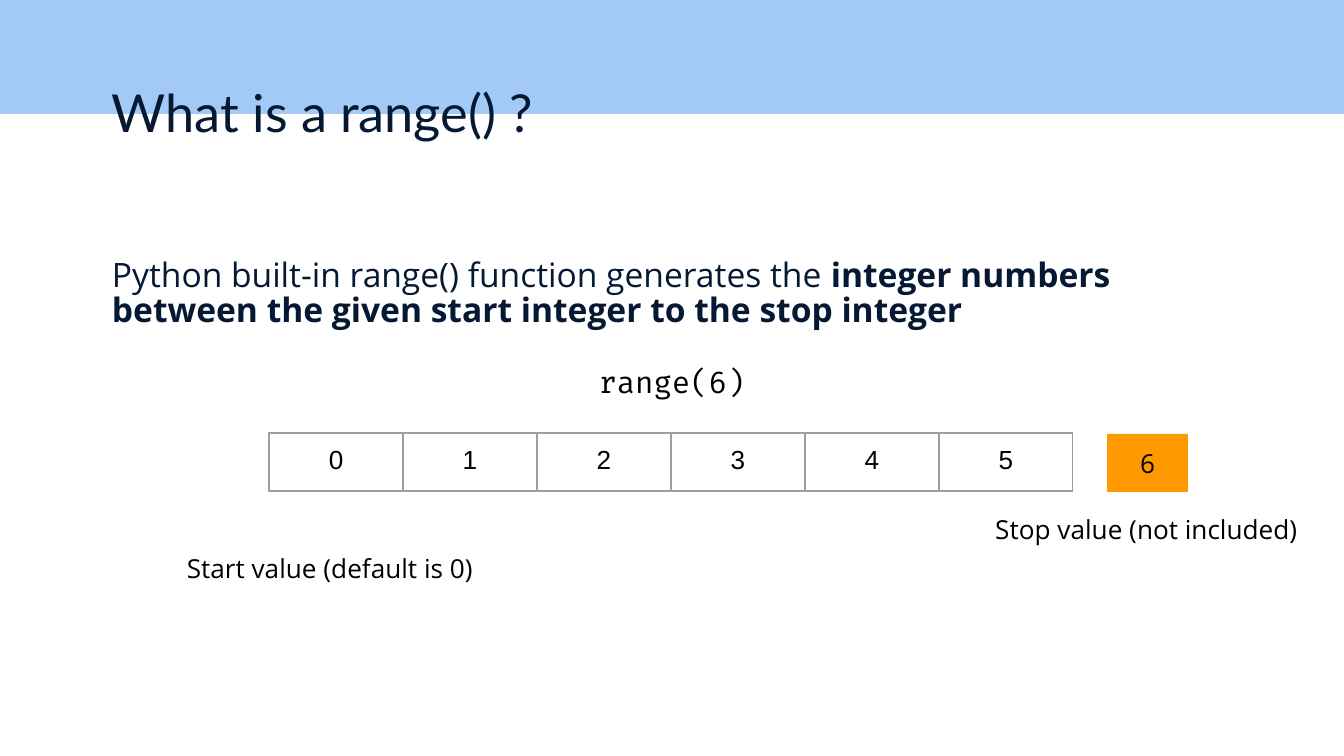
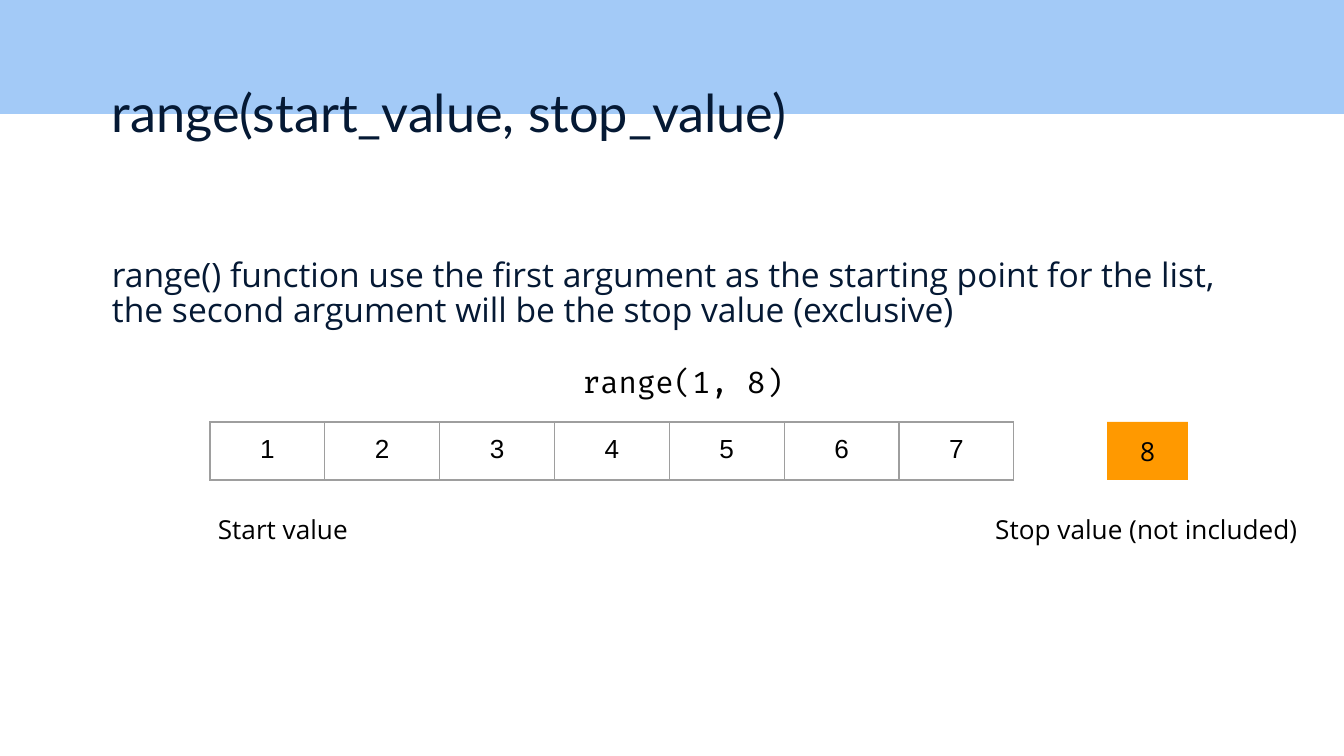
"""Build two slides that explain the Python range() function."""
from lxml import etree
from pptx import Presentation
from pptx.dml.color import RGBColor
from pptx.enum.shapes import MSO_SHAPE
from pptx.enum.text import MSO_ANCHOR, PP_ALIGN
from pptx.oxml.ns import qn
from pptx.util import Emu, Pt

RECTANGLE = MSO_SHAPE.RECTANGLE
TOP, MIDDLE = MSO_ANCHOR.TOP, MSO_ANCHOR.MIDDLE
LEFT, CENTER = PP_ALIGN.LEFT, PP_ALIGN.CENTER

PX = 914400 / 134.4
SLIDE_WIDTH, SLIDE_HEIGHT = 1344, 756
MARGIN = 13
CELL_HEIGHT = 58
TABLE_WIDTH = 804
BAND, NAVY, BLACK, ORANGE, GRAY = "A3CAF7", "051934", "000000", "FF9900", "9E9E9E"

TITLE_BOX = (99, 67, 1039, 85)
BODY_BOX = (99, 246, 1142, 124)
STOP_LABEL_BOX = (982, 500, 329, CELL_HEIGHT)
STOP_LABEL = "Stop value (not included)"

SLIDES = [
    {
        "title": "What is a range() ?",
        "body": [
            ("Python built-in range() function generates the ", False),
            ("integer numbers between the given start integer to the stop integer", True),
        ],
        "call": ("range(6)", (560, 351, 224, 71)),
        "values": range(6),
        "table_at": (269, 433),
        "stop": ("6", (1107, 434, 81, CELL_HEIGHT)),
        "start": ("Start value (default is 0)", (172, 539, 316, CELL_HEIGHT)),
    },
    {
        "title": "range(start_value, stop_value)",
        "body": [
            ("range() function use the first argument as the starting point for the list, "
             "the second argument will be the stop value (exclusive)", False),
        ],
        "call": ("range(1, 8)", (560, 351, 246, 71)),
        "values": range(1, 8),
        "table_at": (210, 422),
        "stop": ("8", (1107, 422, 81, CELL_HEIGHT)),
        "start": ("Start value", (125, 500, 316, CELL_HEIGHT)),
    },
]


def emu(*pixels):
    return [Emu(round(value * PX)) for value in pixels]


def color(value):
    return RGBColor.from_string(value)


def style(paragraph, font_name, size, font_color, align):
    paragraph.alignment = align
    paragraph.font.name = font_name
    paragraph.font.size = Pt(size)
    paragraph.font.color.rgb = color(font_color)


def write(shape, runs, font_name, size, font_color=BLACK, align=CENTER, anchor=TOP, wrap=False):
    frame = shape.text_frame
    frame.word_wrap = wrap
    frame.vertical_anchor = anchor
    margin = emu(MARGIN)[0]
    frame.margin_left = frame.margin_right = frame.margin_top = frame.margin_bottom = margin
    paragraph = frame.paragraphs[0]
    style(paragraph, font_name, size, font_color, align)
    for text, bold in runs:
        run = paragraph.add_run()
        run.text = text
        if bold:
            run.font.bold = True
    return paragraph


def add_text(slide, box, runs, *args, **options):
    return write(slide.shapes.add_textbox(*emu(*box)), runs, *args, **options)


def add_rectangle(slide, box, fill):
    shape = slide.shapes.add_shape(RECTANGLE, *emu(*box))
    shape.shadow.inherit = False
    shape.fill.solid()
    shape.fill.fore_color.rgb = color(fill)
    shape.line.fill.background()
    return shape


def add_borders(cell):
    properties = cell._tc.get_or_add_tcPr()
    for side in ("lnL", "lnR", "lnT", "lnB"):
        line = etree.SubElement(properties, qn(f"a:{side}"), w=str(Pt(0.75)))
        fill = etree.SubElement(line, qn("a:solidFill"))
        etree.SubElement(fill, qn("a:srgbClr"), val=GRAY)


def add_value_table(slide, position, values):
    box = emu(*position, TABLE_WIDTH, CELL_HEIGHT)
    table = slide.shapes.add_table(1, len(values), *box).table
    table.first_row = table.horz_banding = False
    margin = emu(MARGIN)[0]
    for cell, value in zip(table.rows[0].cells, values):
        cell.text = str(value)
        cell.margin_left = cell.margin_right = cell.margin_top = cell.margin_bottom = margin
        style(cell.text_frame.paragraphs[0], "Arial", 14, BLACK, CENTER)
        add_borders(cell)
        cell.fill.background()


def add_label(slide, text, box):
    add_text(slide, box, [(text, False)], "Open Sans", 14)


def build_slide(presentation, content):
    slide = presentation.slides.add_slide(presentation.slide_layouts[6])
    add_rectangle(slide, (0, 0, SLIDE_WIDTH, 114), BAND)
    body = add_text(slide, BODY_BOX, content["body"], "Open Sans", 18, NAVY, LEFT, wrap=True)
    body.line_spacing = 0.87
    body.space_after = Pt(16)
    add_text(slide, TITLE_BOX, [(content["title"], False)], "Lato", 28, NAVY, LEFT, wrap=True)
    call, call_box = content["call"]
    add_text(slide, call_box, [(call, False)], "Fira Code", 16)
    add_value_table(slide, content["table_at"], content["values"])
    stop, stop_box = content["stop"]
    stop_shape = add_rectangle(slide, stop_box, ORANGE)
    write(stop_shape, [(stop, False)], "Open Sans", 14, anchor=MIDDLE)
    add_label(slide, *content["start"])
    add_label(slide, STOP_LABEL, STOP_LABEL_BOX)


def main():
    presentation = Presentation()
    presentation.slide_width, presentation.slide_height = emu(SLIDE_WIDTH, SLIDE_HEIGHT)
    for content in SLIDES:
        build_slide(presentation, content)
    presentation.save("out.pptx")


if __name__ == "__main__":
    main()
